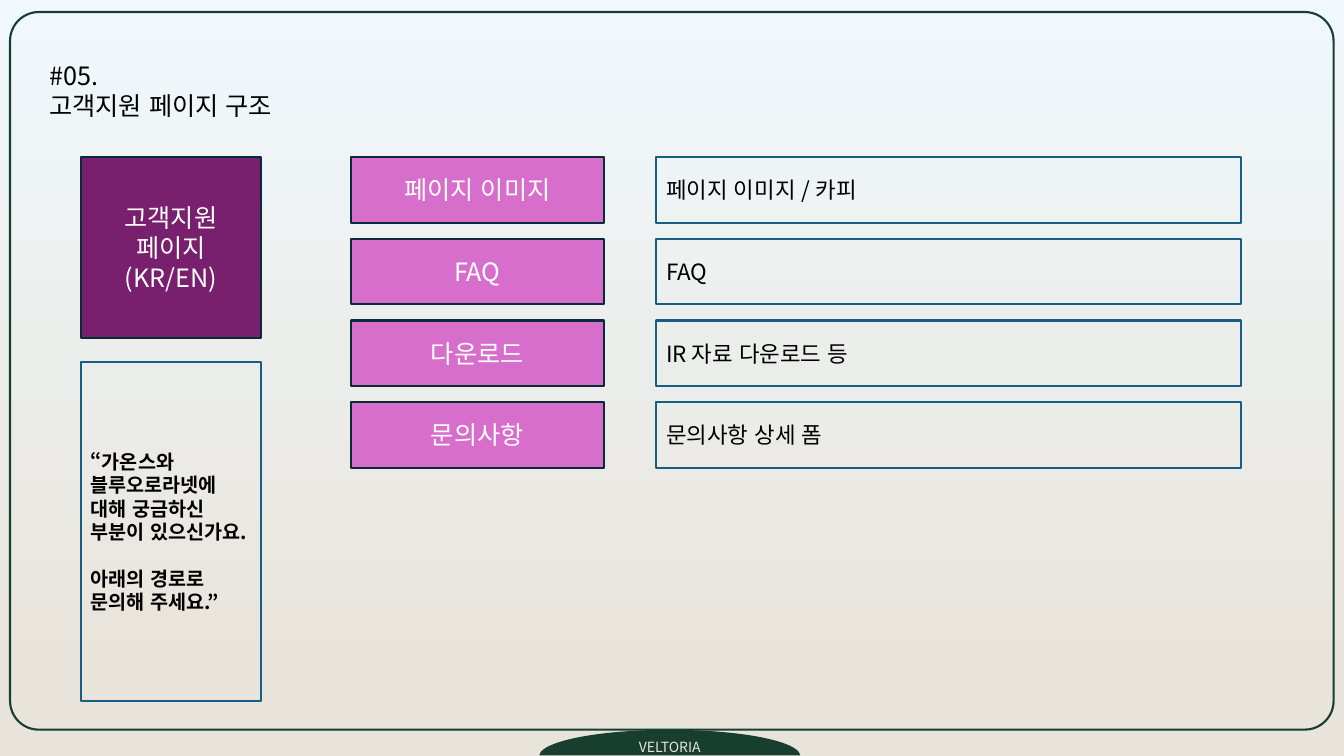
"""Build the customer support page structure slide."""
from dataclasses import dataclass
from typing import Optional

from lxml.etree import SubElement
from pptx import Presentation
from pptx.dml.color import RGBColor
from pptx.enum.lang import MSO_LANGUAGE_ID as Language
from pptx.enum.shapes import MSO_SHAPE as ShapeKind
from pptx.enum.text import MSO_ANCHOR as Anchor, MSO_AUTO_SIZE as AutoSize, PP_ALIGN as Align
from pptx.oxml.ns import qn
from pptx.util import Pt

FONT = "Noto Sans CJK KR"
LINE_RATIO = 1.19
BLACK, WHITE = "000000", "FFFFFF"
PLUM, ORCHID, NAVY, BLUE = "78206E", "D86ECC", "092A39", "156082"
GREEN, SAND, SKY = "183E30", "E8E4DB", "F0F8FD"
SIDE_LEFT, MENU_LEFT, DETAIL_LEFT = 57.6, 250.6, 468.7
SIDE_WIDTH, MENU_WIDTH, DETAIL_WIDTH = 128.9, 180.7, 417.6
ROW_TOP, ROW_HEIGHT, ROW_PITCH = 112.3, 46.8, 58.32
TAB_LEFT, TAB_WIDTH, TAB_HEIGHT = 385.2, 186.5, 37.4
HALF_ELLIPSE = (108.13, 215.87)


@dataclass
class Box:
    left: float
    top: float
    width: float
    height: float
    fill: Optional[str] = None
    line: Optional[str] = None
    kind: ShapeKind = ShapeKind.RECTANGLE
    adjustments: tuple[float, ...] = ()


@dataclass
class MenuRow:
    name: str
    detail: str


MENU_ROWS = [
    MenuRow("페이지 이미지", "페이지 이미지 / 카피"),
    MenuRow("FAQ", "FAQ"),
    MenuRow("다운로드", "IR 자료 다운로드 등"),
    MenuRow("문의사항", "문의사항 상세 폼"),
]
QUOTE = "“가온스와 블루오로라넷에 대해 궁금하신 부분이 있으신가요.\n아래의 경로로 문의해 주세요.”"


def color(hex_code: str) -> RGBColor:
    return RGBColor.from_string(hex_code)


def write(shape, text: str, *, size: float, ink: str = BLACK, bold: bool = False,
          align: Align = Align.LEFT, anchor: Anchor = Anchor.MIDDLE, gap: float = 0) -> None:
    frame = shape.text_frame
    frame.text = text
    frame.word_wrap = True
    frame.auto_size = AutoSize.NONE
    frame.vertical_anchor = anchor
    for index, paragraph in enumerate(frame.paragraphs):
        paragraph.alignment = align
        paragraph.line_spacing = Pt(size * LINE_RATIO)
        paragraph.space_before = Pt(gap if index else 0)
        for run in paragraph.runs:
            font = run.font
            font.name, font.size, font.bold = FONT, Pt(size), bold
            font.color.rgb = color(ink)
            font.language_id = Language.KOREAN
            SubElement(run._r.get_or_add_rPr(), qn("a:ea")).set("typeface", FONT)


def draw(slide, box: Box):
    shape = slide.shapes.add_shape(
        box.kind, Pt(box.left), Pt(box.top), Pt(box.width), Pt(box.height))
    shape.shadow.inherit = False
    for index, value in enumerate(box.adjustments):
        shape.adjustments[index] = value
    if box.fill:
        shape.fill.solid()
        shape.fill.fore_color.rgb = color(box.fill)
    else:
        shape.fill.background()
    if box.line:
        shape.line.color.rgb = color(box.line)
        shape.line.width = Pt(1.5)
    else:
        shape.line.fill.background()
    return shape


def paint_background(slide) -> None:
    fill = slide.background.fill
    fill.gradient()
    fill.gradient_angle = 270
    for stop, position, shade in zip(fill.gradient_stops, (0, 0.9), (SKY, SAND)):
        stop.position = position
        stop.color.rgb = color(shade)


def add_title(slide) -> None:
    title = slide.shapes.title
    title.left, title.top, title.width, title.height = Pt(28.1), Pt(39.6), Pt(383.8), Pt(72.7)
    write(title, "#05.\n고객지원 페이지 구조", size=18, anchor=Anchor.TOP)


def add_side_column(slide) -> None:
    page = draw(slide, Box(SIDE_LEFT, ROW_TOP, SIDE_WIDTH, SIDE_WIDTH, PLUM, NAVY))
    write(page, "고객지원\n페이지\n(KR/EN)", size=18, ink=WHITE, align=Align.CENTER)
    quote = draw(slide, Box(SIDE_LEFT, 258.5, SIDE_WIDTH, 242.6, line=BLUE))
    write(quote, QUOTE, size=14, bold=True, gap=14 * LINE_RATIO)


def add_menu(slide) -> None:
    for index, row in enumerate(MENU_ROWS):
        top = ROW_TOP + index * ROW_PITCH
        name = draw(slide, Box(MENU_LEFT, top, MENU_WIDTH, ROW_HEIGHT, ORCHID, NAVY))
        write(name, row.name, size=18, ink=WHITE, align=Align.CENTER)
        detail = draw(slide, Box(DETAIL_LEFT, top, DETAIL_WIDTH, ROW_HEIGHT, line=BLUE))
        write(detail, row.detail, size=16)


def add_frame(slide) -> None:
    draw(slide, Box(TAB_LEFT, 521.3, TAB_WIDTH, TAB_HEIGHT, GREEN,
                    kind=ShapeKind.CHORD, adjustments=HALF_ELLIPSE))
    label = draw(slide, Box(TAB_LEFT, 514.8, TAB_WIDTH, TAB_HEIGHT,
                            kind=ShapeKind.CHORD, adjustments=HALF_ELLIPSE))
    write(label, "VELTORIA", size=10, ink=SAND, align=Align.CENTER)
    draw(slide, Box(7.2, 8.6, 945.4, 512.6, line=GREEN,
                    kind=ShapeKind.ROUNDED_RECTANGLE, adjustments=(0.04,)))


def main() -> None:
    presentation = Presentation()
    presentation.slide_width, presentation.slide_height = Pt(960), Pt(540)
    slide = presentation.slides.add_slide(presentation.slide_layouts.get_by_name("Title Only"))
    paint_background(slide)
    add_title(slide)
    add_side_column(slide)
    add_menu(slide)
    add_frame(slide)
    presentation.save("out.pptx")


if __name__ == "__main__":
    main()
